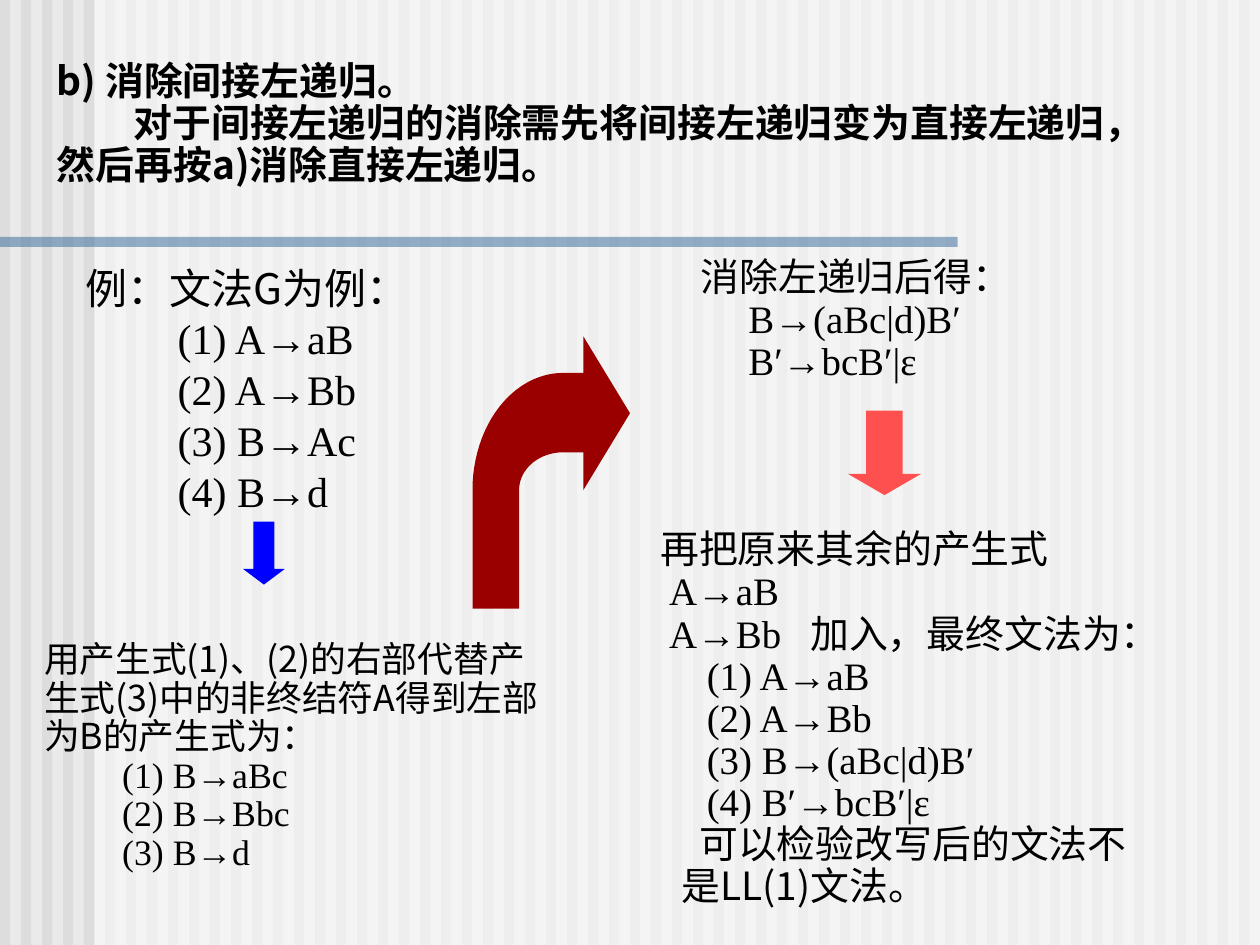
from math import cos, pi, sin

from lxml.etree import SubElement
from pptx import Presentation
from pptx.dml.color import RGBColor
from pptx.enum.shapes import MSO_SHAPE
from pptx.enum.text import MSO_ANCHOR, MSO_AUTO_SIZE, PP_ALIGN
from pptx.oxml.ns import qn
from pptx.util import Inches, Pt

SANS = "Noto Sans CJK SC"
SERIF = "Times New Roman"


def color(value):
    return RGBColor.from_string(value)


def apply(target, values):
    for name, value in values.items():
        setattr(target, name, value)


def place(box, left, top, width, height):
    apply(box, {"left": Inches(left), "top": Inches(top),
                "width": Inches(width), "height": Inches(height)})


class SlideBuilder:
    ink = "000000"
    frame_style = {"word_wrap": True, "auto_size": MSO_AUTO_SIZE.NONE,
                   "vertical_anchor": MSO_ANCHOR.MIDDLE,
                   "margin_left": Inches(0.1), "margin_right": Inches(0.1),
                   "margin_top": Inches(0.05), "margin_bottom": Inches(0.05)}
    para_style = {"alignment": PP_ALIGN.LEFT, "space_before": Pt(0), "space_after": Pt(0)}

    def __init__(self, slide, background):
        self.slide = slide
        fill = slide.background.fill
        fill.solid()
        fill.fore_color.rgb = color(background)

    def paint(self, shape, fill, alpha=None):
        shape.shadow.inherit = False
        shape.fill.solid()
        shape.fill.fore_color.rgb = color(fill)
        shape.line.fill.background()
        if alpha:
            swatch = shape.element.spPr.find(qn("a:solidFill"))[0]
            SubElement(swatch, qn("a:alpha"), val=str(alpha * 1000))

    def shape(self, kind, bounds, fill, alpha=None, adjustments=(), parent=None):
        shapes = (parent or self.slide).shapes
        shape = shapes.add_shape(kind, *map(Inches, bounds))
        for index, value in enumerate(adjustments):
            shape.adjustments[index] = value
        self.paint(shape, fill, alpha)

    def backdrop(self):
        group = self.slide.shapes.add_group_shape()
        for index in range(60):
            self.shape(MSO_SHAPE.RECTANGLE, (index / 6, 0, 0.08, 7.5), "DDDDDD", parent=group)
        self.shape(MSO_SHAPE.RECTANGLE, (0.75, 0, 9.25, 7.5), "FFFFFF", 50, parent=group)
        self.shape(MSO_SHAPE.RECTANGLE, (0, 1.88, 7.6, 0.08), "336699", 50, parent=group)
        group.element.getparent().insert(2, group.element)

    def curved_arrow(self, fill):
        def arc(radius_x, radius_y, angles):
            return [(4.47 - radius_x * cos(angle), 3.89 - radius_y * sin(angle))
                    for angle in angles]

        angles = [step * pi / 48 for step in range(25)]
        outline = [(3.75, 4.83), *arc(0.72, 0.93, angles), (4.63, 2.96), (4.63, 2.67),
                   (5, 3.28), (4.63, 3.89), (4.63, 3.59),
                   *arc(0.35, 0.3, reversed(angles)), (4.12, 4.83)]
        points = [(Inches(x), Inches(y)) for x, y in outline]
        builder = self.slide.shapes.build_freeform(*points[0])
        builder.add_line_segments(points[1:], close=True)
        self.paint(builder.convert_to_shape(), fill)

    def text(self, box, bounds, size, pitch, lines, bold=False, spare_lines=0):
        place(box, *bounds)
        frame = box.text_frame
        apply(frame, self.frame_style)
        frame.margin_bottom += Pt(pitch * spare_lines)
        for index, (indent, *spans) in enumerate(lines):
            para = frame.paragraphs[0] if index == 0 else frame.add_paragraph()
            properties = para._p.get_or_add_pPr()
            properties.set("marL", "0")
            properties.set("indent", str(Inches(indent)))
            SubElement(properties, qn("a:buNone"))
            if any("\t" in words for words, _ in spans):
                tabs = SubElement(properties, qn("a:tabLst"))
                SubElement(tabs, qn("a:tab"), pos=str(Inches(1.48)), algn="l")
            apply(para, {**self.para_style, "line_spacing": Pt(pitch)})
            for words, typeface in spans:
                span = para.add_run()
                span.text = words
                apply(span.font, {"name": typeface, "size": Pt(size), "bold": bold})
                span.font.color.rgb = color(self.ink)
                SubElement(span.font._element, qn("a:ea"), typeface=typeface)


def items(indent, *rules):
    return [(indent, (rule, SERIF)) for rule in rules]


def main():
    deck = Presentation()
    deck.slide_width, deck.slide_height = Inches(10), Inches(7.5)
    slide = deck.slides.add_slide(deck.slide_layouts.get_by_name("Comparison"))
    page = SlideBuilder(slide, "EAEAEA")
    title, grammar, substitution, elimination, result = slide.placeholders
    page.backdrop()

    page.text(title, (0.35, 0.34, 8.58, 1.3), 22.2, 24, [
        (0, ("b) 消除间接左递归。", SANS)),
        (0.61, ("对于间接左递归的消除需先将间接左递归变为直接左递归，"
                "然后再按a)消除直接左递归。", SANS)),
    ], bold=True)
    page.text(grammar, (0.58, 1.92, 4.25, 2.33), 24, 29, [
        (0, ("例：文法G为例：", SANS)),
        *items(0.73, "(1) A→aB", "(2) A→Bb", "(3) B→Ac", "(4) B→d"),
    ])
    page.text(substitution, (0.25, 4.83, 4.17, 2.66), 20.4, 22, [
        (0, ("用产生式(1)、(2)的右部代替产生式(3)中的非终结符A得到左部为B的产生式为：", SANS)),
        *items(0.62, "(1) B→aBc", "(2) B→Bbc", "(3) B→d"),
    ], spare_lines=1)
    page.text(elimination, (5.16, 1.86, 4.42, 1.7), 22.2, 24, [
        (0.3, ("消除左递归后得：", SANS)),
        *items(0.68, "B→(aBc|d)B′", "B′→bcB′|ε"),
    ], spare_lines=1)
    page.text(result, (4.83, 3.91, 4.83, 3.59), 22.2, 24, [
        (0.31, ("再把原来其余的产生式", SANS)),
        *items(0.38, "A→aB"),
        (0.38, ("A→Bb\t", SERIF), ("加入，最终文法为：", SANS)),
        *items(0.68, "(1) A→aB", "(2) A→Bb", "(3) B→(aBc|d)B′", "(4) B′→bcB′|ε"),
        (0.62, ("可以检验改写后的文法不", SANS)),
        (0.48, ("是LL(1)文法。", SANS)),
    ])

    page.shape(MSO_SHAPE.DOWN_ARROW, (1.93, 4.14, 0.33, 0.5), "0000FF", adjustments=(0.5, 0.375))
    page.curved_arrow("9A0000")
    page.shape(MSO_SHAPE.DOWN_ARROW, (6.73, 3.26, 0.58, 0.67), "FF5050", adjustments=(0.5, 0.29))
    deck.save("out.pptx")


if __name__ == "__main__":
    main()
